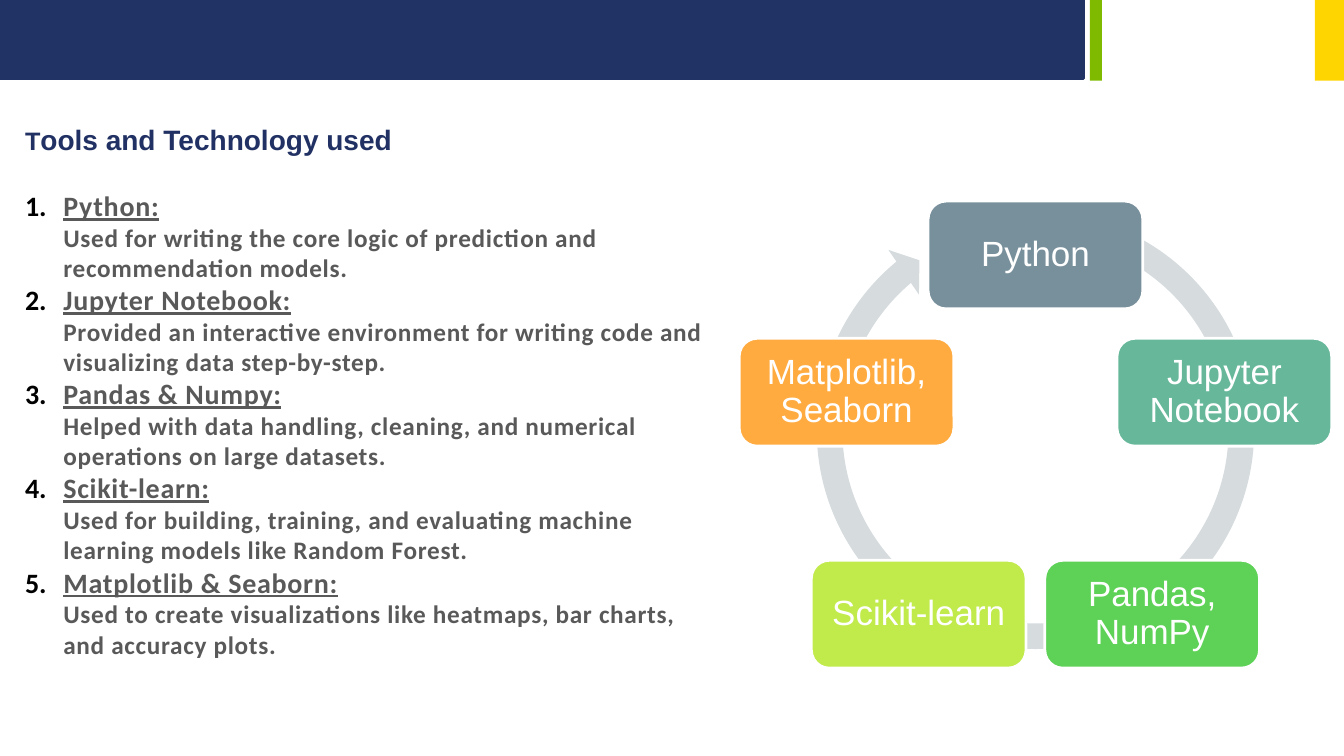
import math
import lxml.etree
import pptx
import pptx.dml.color
import pptx.enum.shapes
import pptx.enum.text
import pptx.oxml.ns
import pptx.util

Inches = pptx.util.Inches
SHAPE = pptx.enum.shapes.MSO_SHAPE
ANCHOR = pptx.enum.text.MSO_ANCHOR
COLORS = {
    "navy": "213264", "title": "213163", "green": "7FBA00", "yellow": "FED500",
    "ring": "D6DBDE", "slate": "78909C", "teal": "67B89B", "leaf": "5ED257",
    "lime": "C1EA4B", "orange": "FFAB40", "white": "FFFFFF", "gray": "595959",
    "black": "000000",
}


def add_filled(shapes, kind, left, top, width, height, fill, line=None):
    shape = shapes.add_shape(kind, Inches(left), Inches(top), Inches(width), Inches(height))
    shape.shadow.inherit = False
    shape.fill.solid()
    shape.fill.fore_color.rgb = pptx.dml.color.RGBColor.from_string(COLORS[fill])
    if line:
        shape.line.color.rgb = pptx.dml.color.RGBColor.from_string(COLORS[line])
        shape.line.width = pptx.util.Pt(2)
    else:
        shape.line.fill.background()
    return shape


def add_run(text, paragraph, size, color, font="Arial", bold=False, underline=False, spacing=0):
    run = paragraph.add_run()
    run.text = text
    run.font.name = font
    run.font.size = pptx.util.Pt(size)
    run.font.bold = bold
    run.font.underline = underline
    run.font.color.rgb = pptx.dml.color.RGBColor.from_string(COLORS[color])
    if spacing:
        run.font._element.set("spc", str(int(spacing * 100)))


presentation = pptx.Presentation()
presentation.slide_width = Inches(13.33)
presentation.slide_height = Inches(7.5)
slide = presentation.slides.add_slide(presentation.slide_layouts[6])

add_filled(slide.shapes, SHAPE.RECTANGLE, 0, 0, 10.75, 0.78, "navy", "navy")
add_filled(slide.shapes, SHAPE.RECTANGLE, 10.81, 0, 0.12, 0.8, "green")
add_filled(slide.shapes, SHAPE.RECTANGLE, 13.04, 0, 0.29, 0.8, "yellow")

title = slide.shapes.add_textbox(Inches(0.15), Inches(1.17), Inches(6.67), Inches(0.44))
title.text_frame.word_wrap = True
heading = title.text_frame.paragraphs[0]
add_run("T", heading, 18, "title", bold=True)
add_run("ools and Technology used", heading, 20, "title", bold=True)

cycle = slide.shapes.add_group_shape()
ring = add_filled(cycle.shapes, SHAPE.CIRCULAR_ARROW, 7.96, 1.96, 4.62, 4.62, "ring")
for index, value in enumerate([0.055, 3.307, 138.123, 173.639, 0.058]):
    ring.adjustments[index] = value

nodes = [
    ("Python", "slate"),
    ("Jupyter Notebook", "teal"),
    ("Pandas, NumPy", "leaf"),
    ("Scikit-learn", "lime"),
    ("Matplotlib, Seaborn", "orange"),
]
center_x, center_y, radius = 10.27, 4.5, 1.97
node_width, node_height = 2.13, 1.07
for index, (label, color) in enumerate(nodes):
    angle = 2 * math.pi * index / len(nodes)
    left = center_x + radius * math.sin(angle) - node_width / 2
    top = center_y - radius * math.cos(angle) - node_height / 2
    node = add_filled(cycle.shapes, SHAPE.ROUNDED_RECTANGLE, left, top,
                      node_width, node_height, color, "white")
    frame = node.text_frame
    frame.word_wrap = True
    frame.vertical_anchor = ANCHOR.MIDDLE
    frame.margin_left = frame.margin_right = Inches(0.15)
    frame.margin_top = frame.margin_bottom = Inches(0.15)
    paragraph = frame.paragraphs[0]
    paragraph.alignment = pptx.enum.text.PP_ALIGN.CENTER
    paragraph.line_spacing = 0.9
    add_run(label, paragraph, 25, "white")

tools = [
    ("Python:", "Used for writing the core logic of prediction and recommendation models."),
    ("Jupyter Notebook:", "Provided an interactive environment for writing code and visualizing data step-by-step."),
    ("Pandas & Numpy:", "Helped with data handling, cleaning, and numerical operations on large datasets."),
    ("Scikit-learn:", "Used for building, training, and evaluating machine learning models like Random Forest."),
    ("Matplotlib & Seaborn:", "Used to create visualizations like heatmaps, bar charts, and accuracy plots."),
]
description = slide.shapes.add_textbox(Inches(0.15), Inches(1.8), Inches(7.11), Inches(4.81))
frame = description.text_frame
frame.word_wrap = True
frame.vertical_anchor = ANCHOR.MIDDLE
qn = pptx.oxml.ns.qn
for index, (name, purpose) in enumerate(tools):
    paragraph = frame.add_paragraph() if index else frame.paragraphs[0]
    properties = paragraph._p.get_or_add_pPr()
    properties.set("marL", str(Inches(0.38)))
    properties.set("indent", str(Inches(-0.38)))
    bullet_color = lxml.etree.SubElement(properties, qn("a:buClr"))
    lxml.etree.SubElement(bullet_color, qn("a:srgbClr"), val=COLORS["black"])
    lxml.etree.SubElement(properties, qn("a:buFont"), typeface="+mj-lt")
    lxml.etree.SubElement(properties, qn("a:buAutoNum"), type="arabicPeriod")
    add_run(name, paragraph, 20, "gray", font="Calibri", bold=True, underline=True, spacing=0.5)
    paragraph.add_line_break()
    add_run(purpose, paragraph, 18, "gray", font="Calibri", bold=True, spacing=0.5)

presentation.save("out.pptx")
